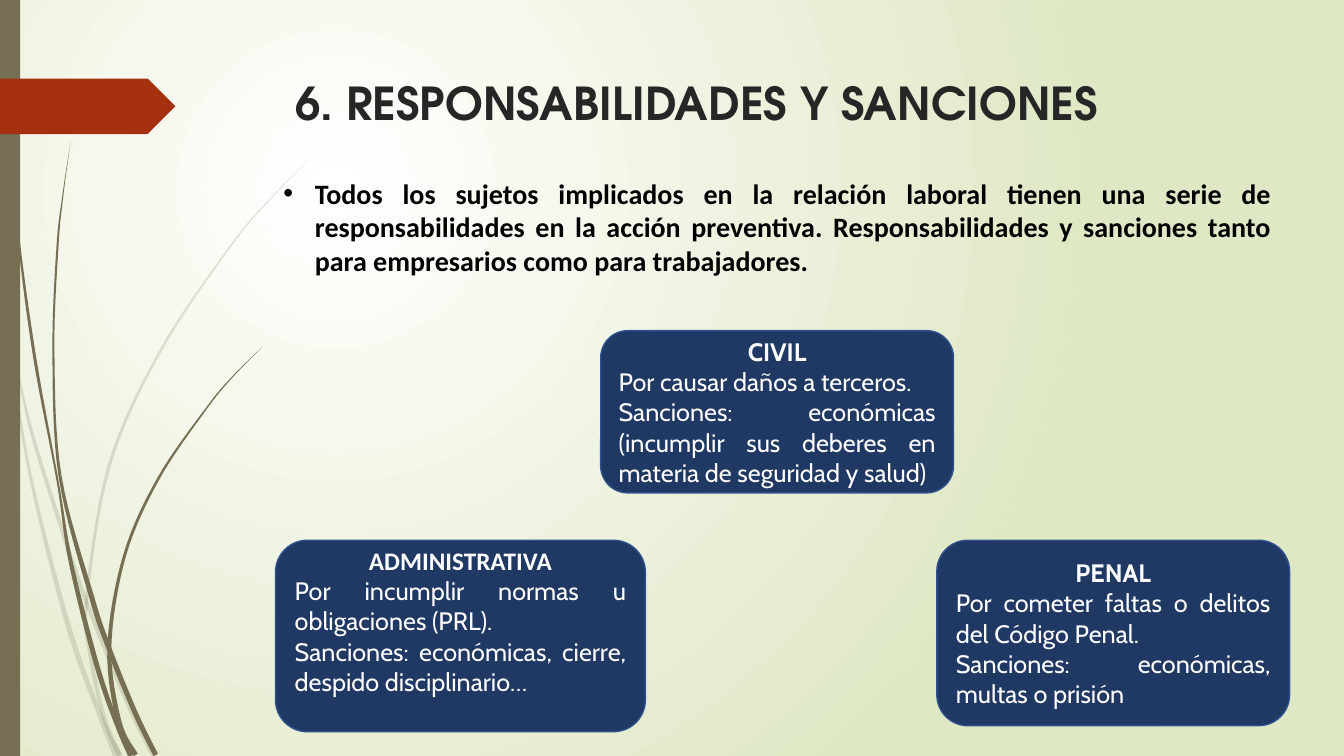
from dataclasses import dataclass
from math import hypot

from pptx import Presentation
from pptx.dml.color import RGBColor as Rgb
from pptx.enum.shapes import MSO_SHAPE as Kind
from pptx.enum.text import MSO_ANCHOR as Anchor, MSO_AUTO_SIZE as Fit, PP_ALIGN as Align
from pptx.oxml import parse_xml
from pptx.oxml.ns import nsdecls, qn
from pptx.util import Inches, Pt

CELL = Inches(0.1)
COLS, ROWS = 133.33, 75
STEPS = 8


@dataclass(frozen=True)
class Theme:
    olive: str = "766F54"
    rust: str = "A53010"
    navy: str = "203864"
    edge: str = "2F528F"
    white: str = "FFFFFF"
    lime: str = "DFE8C4"
    dark: str = "262626"
    black: str = "000000"
    head: float = 32.4
    body: float = 20
    card: float = 18
    title: str = "TeX Gyre Adventor"
    plain: str = "Calibri"
    soft: str = "Cabin"


@dataclass(frozen=True)
class Area:
    col: float
    row: float
    wide: float
    high: float


@dataclass(frozen=True)
class Stalk:
    alpha: int
    cuts: tuple[int, ...]
    knots: tuple[tuple[float, float, float], ...]


@dataclass(frozen=True)
class Card:
    area: Area
    head: str
    lines: tuple[str, ...]
    font: str
    foot: float = 0.5


LOOK = Theme()
STALKS = (
    Stalk(20, (1, 4), ((0.1, 28.9, 0.5), (1.1, 35, 0.2), (2.95, 46.9, 0.3), (6.75, 62, 0.5),
                       (10.1, 71.4, 0.5), (11.7, 75, 0.9))),
    Stalk(20, (3,), ((1.4, 34.5, 0), (2.9, 42, 0.3), (6, 52.1, 0.4), (8.5, 59.5, 0.4),
                     (12.5, 69.3, 0.5), (15.25, 75, 0.5))),
    Stalk(20, (5, 7), ((31.2, 15.3, 0), (26.8, 19.75, 0.1), (22.85, 24.45, 0.15),
                       (15.9, 34.85, 0.25), (10.85, 46.15, 0.3), (8.6, 59.5, 0.3),
                       (8.9, 64.6, 0.4), (10.3, 71.1, 0.4), (11.9, 75, 0.5))),
    Stalk(100, (4, 7), ((0.35, 0, 0.1), (0.75, 11, 0.15), (1.8, 23.25, 0.2), (3.45, 35.5, 0.3),
                        (5.75, 47.9, 0.2), (7, 55.65, 0.4), (9.55, 65.8, 0.5),
                        (11.65, 71.9, 0.5), (13.15, 74.9, 0.9))),
    Stalk(100, (4, 6), ((7, 14.1, 0), (6.25, 19.3, 0.1), (5.7, 24.5, 0.2), (5.3, 34.9, 0.2),
                        (5.95, 47.2, 0.3), (9.05, 59.1, 0.5), (10.8, 64.3, 0.5),
                        (13.4, 70.7, 0.5), (15.45, 74.9, 0.5))),
    Stalk(100, (5, 6), ((26.05, 34.4, 0), (23.1, 37.35, 0.1), (20.45, 40.55, 0.15),
                        (15.7, 47.5, 0.25), (12.35, 55.15, 0.3), (10.85, 64.2, 0.4),
                        (11.8, 71.6, 0.5), (13.45, 74.9, 0.5))),
)
CARDS = (
    Card(Area(27.33, 53.6, 36.7, 19), "ADMINISTRATIVA",
         ("Por incumplir normas u obligaciones (PRL).",
          "Sanciones: económicas, cierre, despido disciplinario…"), LOOK.plain, 3.5),
    Card(Area(59.6, 32.8, 35, 16.1), "CIVIL",
         ("Por causar daños a terceros.",
          "Sanciones: económicas (incumplir sus deberes en materia de seguridad y salud)"), LOOK.soft),
    Card(Area(92.94, 53.6, 35, 18.4), "PENAL",
         ("Por cometer faltas o delitos del Código Penal.",
          "Sanciones: económicas, multas o prisión"), LOOK.soft),
)


def span(cells: float) -> int:
    return round(cells * CELL)


def frame(area: Area) -> tuple[int, ...]:
    return tuple(span(n) for n in (area.col, area.row, area.wide, area.high))


def place(shape, area: Area) -> None:
    shape.left, shape.top, shape.width, shape.height = frame(area)


def paint(shape, color: str, alpha: int = 100) -> None:
    shape.shadow.inherit = False
    shape.fill.solid()
    shape.fill.fore_color.rgb = Rgb.from_string(color)
    shape.line.fill.background()
    if alpha < 100:
        tint = shape._element.spPr.find(".//" + qn("a:srgbClr"))
        tint.append(parse_xml(f'<a:alpha {nsdecls("a")} val="{alpha * 1000}"/>'))


def style(para, font: str, size: float, color: str, bold: bool, align: Align) -> None:
    para.alignment = align
    for run in para.runs:
        face = run.font
        face.name, face.size, face.bold = font, Pt(size), bold
        face.color.rgb = Rgb.from_string(color)


def shade(slide) -> None:
    stops = "".join(f'<a:gs pos="{pos}"><a:srgbClr val="{color}"/></a:gs>'
                    for pos, color in ((0, LOOK.white), (100000, LOOK.lime)))
    slide._element.cSld.insert(0, parse_xml(
        f'<p:bg {nsdecls("p", "a")}><p:bgPr><a:gradFill rotWithShape="1"><a:gsLst>{stops}</a:gsLst>'
        '<a:path path="circle"><a:fillToRect l="50000" t="50000" r="100000" b="100000"/></a:path>'
        '</a:gradFill><a:effectLst/></p:bgPr></p:bg>'))


def curve(knots: tuple[tuple[float, float, float], ...]) -> list[tuple[float, ...]]:
    ends = (knots[0], *knots, knots[-1])
    dots = []
    for a, b, c, d in zip(ends, ends[1:], ends[2:], ends[3:]):
        for step in range(STEPS):
            t = step / STEPS
            dots.append(tuple(
                q + t / 2 * (r - p + t * (2 * p - 5 * q + 4 * r - s + t * (3 * (q - r) + s - p)))
                for p, q, r, s in zip(a, b, c, d)))
    return dots + [knots[-1]]


def grow(slide, stalk: Stalk) -> None:
    dots = curve(stalk.knots)
    left, right = [], []
    for i, (col, row, wide) in enumerate(dots):
        last, after = dots[max(i - 1, 0)], dots[min(i + 1, len(dots) - 1)]
        run, rise = after[0] - last[0], after[1] - last[1]
        half = wide / 2 / hypot(run, rise)
        left.append((span(col - rise * half), span(row + run * half)))
        right.append((span(col + rise * half), span(row - run * half)))
    marks = (0, *stalk.cuts, len(stalk.knots) - 1)
    for start, stop in zip(marks, marks[1:]):
        part = slice(start * STEPS, stop * STEPS + 1)
        edge = left[part] + right[part][::-1]
        pen = slide.shapes.build_freeform(*edge[0], scale=1.0)
        pen.add_line_segments(edge[1:], close=True)
        paint(pen.convert_to_shape(), LOOK.olive, stalk.alpha)


def block(slide, kind: Kind, area: Area, color: str):
    shape = slide.shapes.add_shape(kind, *frame(area))
    paint(shape, color)
    return shape


def deal(slide, card: Card) -> None:
    shape = block(slide, Kind.ROUNDED_RECTANGLE, card.area, LOOK.navy)
    shape.line.color.rgb = Rgb.from_string(LOOK.edge)
    shape.line.width = Pt(1)
    text = shape.text_frame
    text.word_wrap = True
    text.vertical_anchor = Anchor.MIDDLE
    text.margin_bottom = span(card.foot)
    text.text = "\n".join((card.head, *card.lines))
    head, *rest = text.paragraphs
    style(head, card.font, LOOK.card, LOOK.white, True, Align.CENTER)
    for para in rest:
        style(para, LOOK.soft, LOOK.card, LOOK.white, False, Align.JUSTIFY)


def title(slide) -> None:
    shape = slide.shapes.title
    place(shape, Area(28.32, 6.72, 97.5, 6.8))
    text = shape.text_frame
    text.text = "6. RESPONSABILIDADES Y SANCIONES"
    text.auto_size = Fit.NONE
    text.vertical_anchor = Anchor.MIDDLE
    style(text.paragraphs[0], LOOK.title, LOOK.head, LOOK.dark, True, Align.LEFT)


def intro(slide) -> None:
    shape = slide.placeholders[1]
    place(shape, Area(27.12, 16.96, 100, 11.1))
    text = shape.text_frame
    text.text = ("Todos los sujetos implicados en la relación laboral tienen una serie de "
                 "responsabilidades en la acción preventiva. Responsabilidades y sanciones tanto "
                 "para empresarios como para trabajadores.")
    text.auto_size = Fit.NONE
    para = text.paragraphs[0]
    props = para._p.get_or_add_pPr()
    props.set("marL", str(span(3.12)))
    props.set("indent", str(-span(3.12)))
    props.append(parse_xml(f'<a:buChar {nsdecls("a")} char="•"/>'))
    para.space_before = Pt(0)
    style(para, LOOK.plain, LOOK.body, LOOK.black, True, Align.JUSTIFY)


def main() -> None:
    deck = Presentation()
    deck.slide_width, deck.slide_height = span(COLS), span(ROWS)
    slide = deck.slides.add_slide(deck.slide_layouts[1])
    shade(slide)
    for stalk in STALKS:
        grow(slide, stalk)
    block(slide, Kind.RECTANGLE, Area(0, 0, 2, ROWS), LOOK.olive)
    block(slide, Kind.PENTAGON, Area(0, 7.8, 17.4, 5.5), LOOK.rust)
    title(slide)
    for card in CARDS:
        deal(slide, card)
    intro(slide)
    deck.save("out.pptx")


if __name__ == "__main__":
    main()
